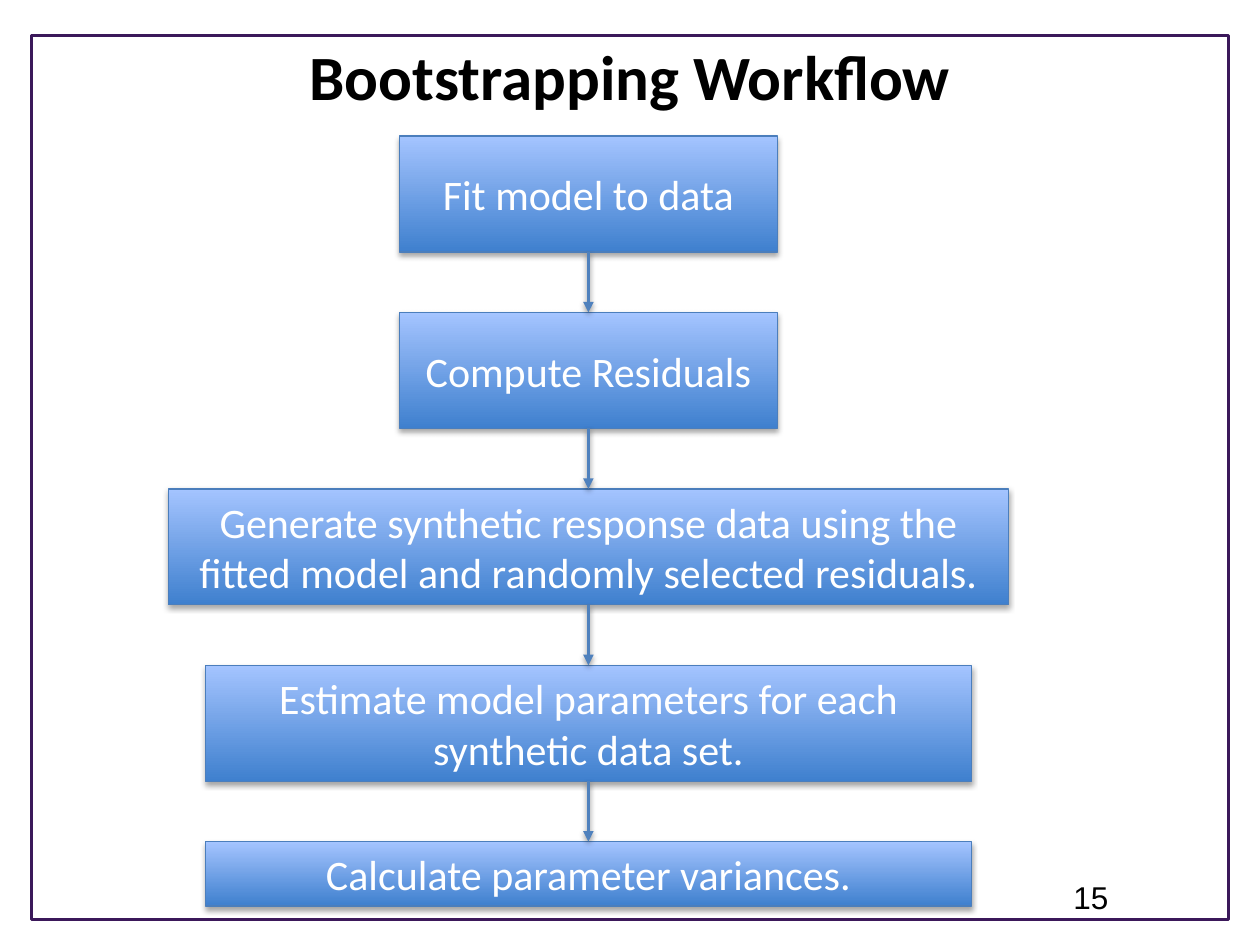
from lxml.etree import SubElement
from pptx import Presentation
from pptx.dml.color import RGBColor
from pptx.enum.shapes import MSO_CONNECTOR as Connector, MSO_SHAPE as Shape
from pptx.enum.text import MSO_ANCHOR as Anchor, PP_ALIGN as Align
from pptx.oxml.ns import qn
from pptx.util import Inches, Pt

TITLE = "Bootstrapping Workflow"
PAGE_NUMBER = "15"
STEPS = [
    ("Fit model to data", 3, 0.92),
    ("Compute Residuals", 3, 0.92),
    ("Generate synthetic response data using the fitted model "
     "and randomly selected residuals.", 6.67, 0.92),
    ("Estimate model parameters for each synthetic data set.", 6.08, 0.92),
    ("Calculate parameter variances.", 6.08, 0.51),
]
CENTER, FIRST_TOP, PITCH = 4.67, 1.08, 1.4

BLACK = RGBColor(0x00, 0x00, 0x00)
WHITE = RGBColor(0xFF, 0xFF, 0xFF)
FRAME = RGBColor(0x3B, 0x18, 0x5A)
BOX_DARK = RGBColor(0x3F, 0x80, 0xCE)
BOX_LIGHT = RGBColor(0xA4, 0xC4, 0xFF)
BOX_LINE = RGBColor(0x4B, 0x7E, 0xBC)
ARROW = RGBColor(0x4F, 0x81, 0xBD)


def write(frame, text, size, font, color, align, bold=False):
    frame.word_wrap = True
    paragraph = frame.paragraphs[0]
    paragraph.alignment = align
    run = paragraph.add_run()
    run.text = text
    run.font.size = Pt(size)
    run.font.name = font
    run.font.bold = bold
    run.font.color.rgb = color


def set_line(shape, color, width):
    shape.line.color.rgb = color
    shape.line.width = Pt(width)


def add_shadow(shape, distance, opacity):
    properties = shape._element.spPr
    effects = properties.find(qn("a:effectLst"))
    if effects is None:
        effects = SubElement(properties, qn("a:effectLst"))
    shadow = SubElement(effects, qn("a:outerShdw"), blurRad=str(Pt(3.1)),
                        dist=str(Pt(distance)), dir="5400000", rotWithShape="0")
    color = SubElement(shadow, qn("a:srgbClr"), val=str(BLACK))
    SubElement(color, qn("a:alpha"), val=str(opacity * 1000))


def add_step(slide, row, text, width, height):
    box = slide.shapes.add_shape(
        Shape.RECTANGLE, Inches(CENTER - width / 2), Inches(FIRST_TOP + row * PITCH),
        Inches(width), Inches(height))
    box.shadow.inherit = False
    box.fill.gradient()
    box.fill.gradient_angle = 90
    for stop, color in zip(box.fill.gradient_stops, (BOX_DARK, BOX_LIGHT)):
        stop.color.rgb = color
    set_line(box, BOX_LINE, 0.75)
    add_shadow(box, 1.8, 35)
    box.text_frame.vertical_anchor = Anchor.MIDDLE
    write(box.text_frame, text, 24, "Calibri", WHITE, Align.CENTER)
    return box


def add_arrow(slide, upper, lower):
    arrow = slide.shapes.add_connector(Connector.STRAIGHT, 0, 0, 0, 0)
    arrow.begin_connect(upper, 2)
    arrow.end_connect(lower, 0)
    set_line(arrow, ARROW, 2)
    SubElement(arrow.line._get_or_add_ln(), qn("a:tailEnd"), type="triangle")
    add_shadow(arrow, 1.6, 38)


def main():
    presentation = Presentation()
    presentation.slide_width, presentation.slide_height = Inches(10), Inches(7.5)
    slide = presentation.slides.add_slide(presentation.slide_layouts[5])

    title = slide.shapes.title
    title.left, title.top = Inches(0.5), Inches(0.25)
    title.width, title.height = Inches(9), Inches(0.92)
    title.text_frame.vertical_anchor = Anchor.TOP
    write(title.text_frame, TITLE, 36, "Calibri", BLACK, Align.CENTER, True)

    frame = slide.shapes.add_shape(
        Shape.RECTANGLE, Inches(0.25), Inches(0.28), Inches(9.5), Inches(7.02))
    frame.shadow.inherit = False
    frame.fill.background()
    set_line(frame, FRAME, 1.75)

    number = slide.shapes.add_textbox(
        Inches(8.42), Inches(6.92), Inches(0.58), Inches(0.4))
    write(number.text_frame, PAGE_NUMBER, 18, "Arial", BLACK, Align.LEFT)

    boxes = [add_step(slide, row, *step) for row, step in enumerate(STEPS)]
    for upper, lower in zip(boxes, boxes[1:]):
        add_arrow(slide, upper, lower)

    presentation.save("out.pptx")


if __name__ == "__main__":
    main()
